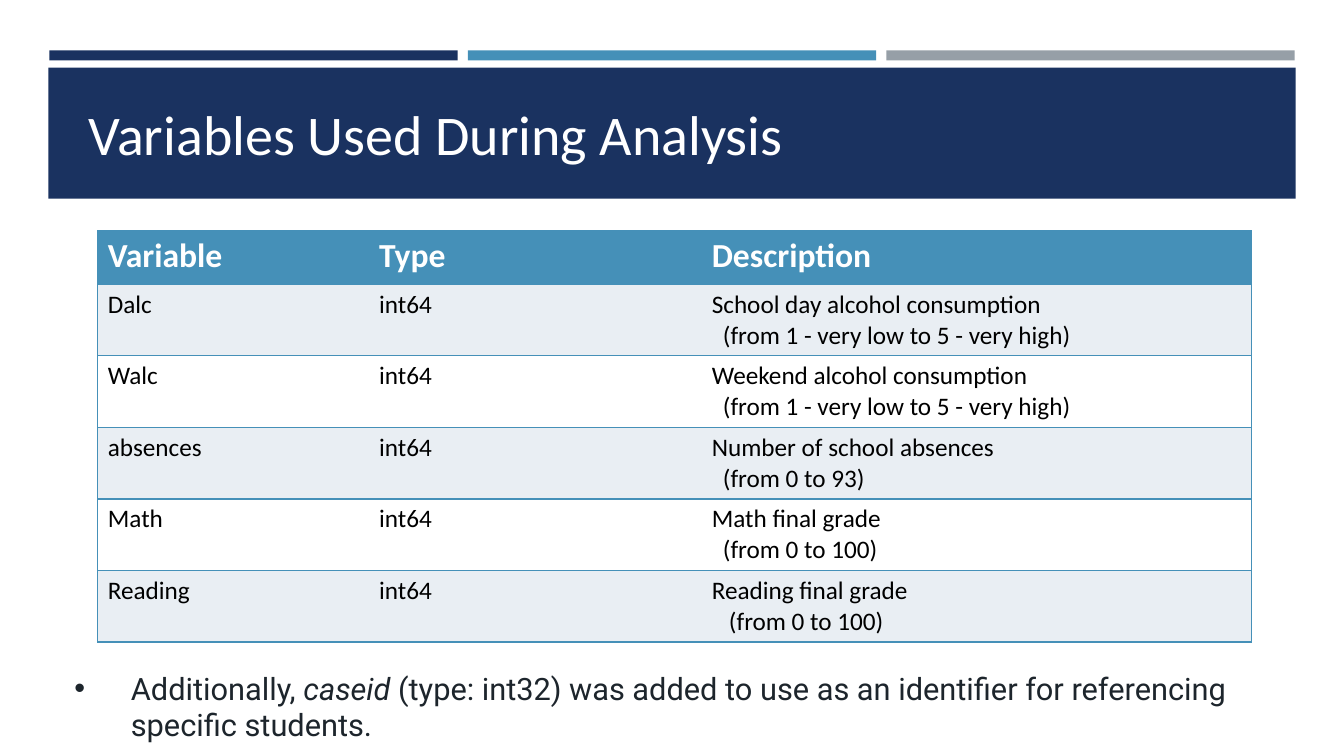
from lxml import etree
from pptx import Presentation
from pptx import util as u
from pptx.dml.color import RGBColor
from pptx.enum import shapes, text
from pptx.oxml import ns

NAVY = RGBColor(0x1A, 0x32, 0x60)
BLUE = RGBColor(0x45, 0x90, 0xB8)
GRAY = RGBColor(0x96, 0x9F, 0xA7)
PALE = RGBColor(0xE9, 0xEE, 0xF3)
INK = RGBColor(0x1D, 0x25, 0x2C)
WHITE = RGBColor(0xFF, 0xFF, 0xFF)
BLACK = RGBColor(0, 0, 0)


def px(n):
    return u.Emu(n * 9144)


def style(p, font, size, color, bold=False):
    for r in p.runs:
        r.font.name = font
        r.font.size = u.Pt(size)
        r.font.color.rgb = color
        r.font.bold = bold


prs = Presentation()
prs.slide_width, prs.slide_height = px(1333), px(750)
s = prs.slides.add_slide(prs.slide_layouts[6])

bands = [(49 + 415 * i, 50, 405, 10, color) for i, color in enumerate((NAVY, BLUE, GRAY))]
bands.append((48, 67, 1237, 130, NAVY))
for x, y, w, h, color in bands:
    sp = s.shapes.add_shape(shapes.MSO_SHAPE.RECTANGLE, px(x), px(y), px(w), px(h))
    sp.shadow.inherit = False
    sp.fill.solid()
    sp.fill.fore_color.rgb = color
    sp.line.fill.background()

title = s.shapes.add_textbox(px(78), px(91), px(1206), px(79))
tf = title.text_frame
tf.word_wrap = True
tf.vertical_anchor = text.MSO_ANCHOR.BOTTOM
tf.text = "Variables Used During Analysis"
style(tf.paragraphs[0], "Calibri", 40, WHITE)

rows = [
    ("Variable", "Type", "Description"),
    ("Dalc", "int64", "School day alcohol consumption\n(from 1 - very low to 5 - very high)"),
    ("Walc", "int64", "Weekend alcohol consumption\n(from 1 - very low to 5 - very high)"),
    ("absences", "int64", "Number of school absences\n(from 0 to 93)"),
    ("Math", "int64", "Math final grade\n(from 0 to 100)"),
    ("Reading", "int64", "Reading final grade\n(from 0 to 100)"),
]
widths = (269, 330, 545)
heights = [53] + [71] * 5
table = s.shapes.add_table(len(rows), len(widths), px(97), px(229),
                           px(sum(widths)), px(sum(heights))).table
for col, w in zip(table.columns, widths):
    col.width = px(w)
for row, h in zip(table.rows, heights):
    row.height = px(h)

for i, row in enumerate(rows):
    for j, value in enumerate(row):
        cell = table.cell(i, j)
        cell.text = value
        for k, p in enumerate(cell.text_frame.paragraphs):
            if k:
                indent = 17 if i == len(rows) - 1 else 11
                p._p.get_or_add_pPr().set("marL", str(px(indent)))
            if i:
                style(p, "Calibri", 18, BLACK)
            else:
                style(p, "Calibri", 24, WHITE, True)
        tcPr = cell._tc.get_or_add_tcPr()
        edges = {"L": j == 0, "R": j == len(widths) - 1, "T": True, "B": True}
        for side, visible in edges.items():
            ln = etree.SubElement(tcPr, ns.qn("a:ln" + side), w=str(u.Pt(1)))
            if visible:
                fill = etree.SubElement(ln, ns.qn("a:solidFill"))
                etree.SubElement(fill, ns.qn("a:srgbClr"), val=str(BLUE))
            else:
                etree.SubElement(ln, ns.qn("a:noFill"))
        cell.fill.solid()
        cell.fill.fore_color.rgb = BLUE if i == 0 else PALE if i % 2 else WHITE

note = s.shapes.add_textbox(px(64), px(659), px(1177), px(84))
tf = note.text_frame
tf.word_wrap = True
p = tf.paragraphs[0]
pPr = p._p.get_or_add_pPr()
pPr.set("marL", str(px(56)))
pPr.set("indent", str(px(-56)))
etree.SubElement(pPr, ns.qn("a:buFont"), typeface="Arial")
etree.SubElement(pPr, ns.qn("a:buChar"), char="•")
for part in ("Additionally, ", "caseid ",
             "(type: int32) was added to use as an identifier for referencing specific students."):
    p.add_run().text = part
style(p, "Roboto", 22, INK)
p.runs[1].font.italic = True

prs.save("out.pptx")
